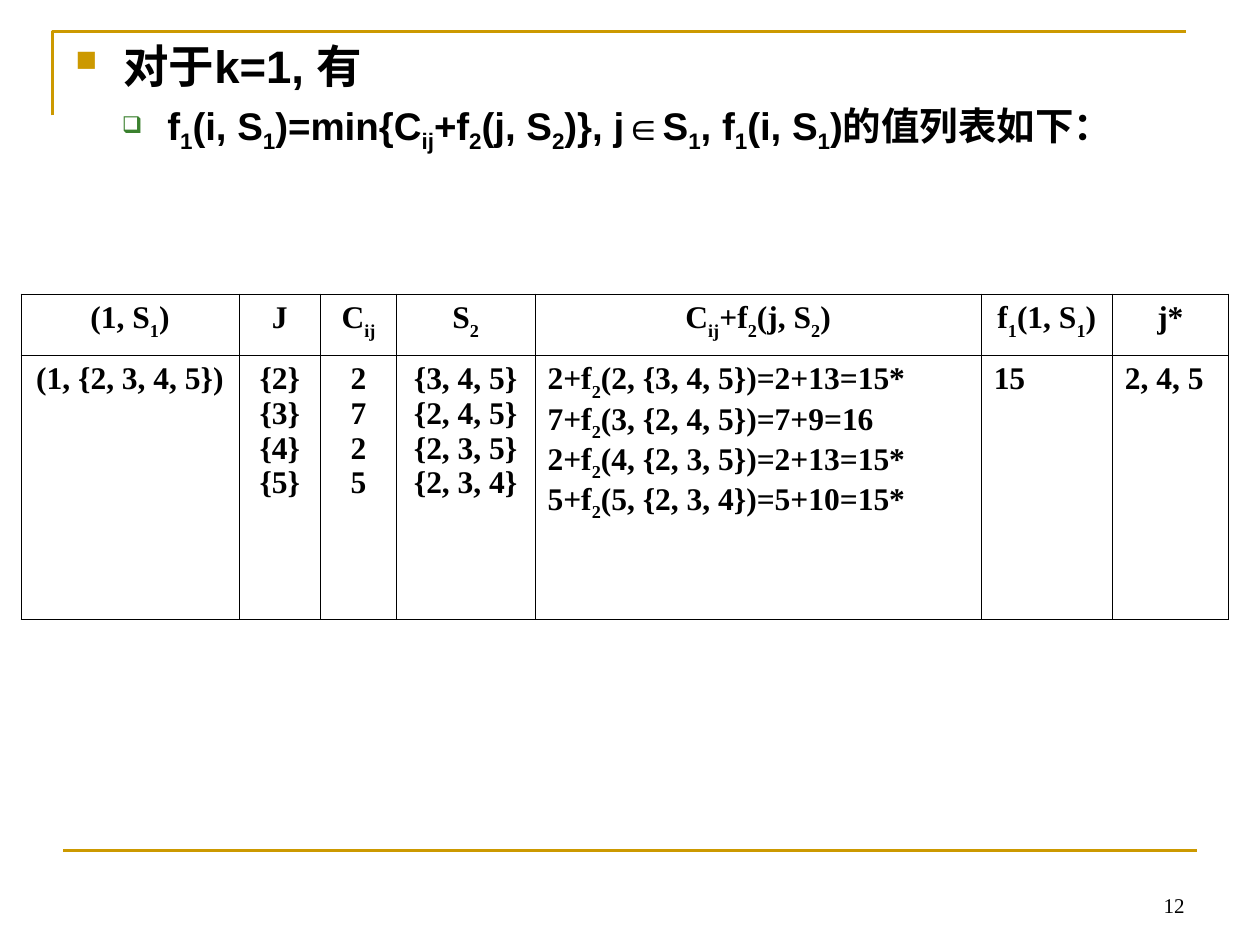
from dataclasses import dataclass

from lxml import etree
from pptx import Presentation
from pptx.dml.color import RGBColor
from pptx.enum.shapes import MSO_CONNECTOR
from pptx.enum.text import MSO_ANCHOR, PP_ALIGN
from pptx.oxml.ns import qn
from pptx.util import Inches, Pt

LEFT, CENTER, RIGHT = PP_ALIGN.LEFT, PP_ALIGN.CENTER, PP_ALIGN.RIGHT
TOP, BOTTOM = MSO_ANCHOR.TOP, MSO_ANCHOR.BOTTOM
STRAIGHT = MSO_CONNECTOR.STRAIGHT


@dataclass(frozen=True)
class Theme:
    ink: str = "000000"
    gold: str = "CC9900"
    green: str = "3B812F"
    sans: str = "Arial"
    serif: str = "Times New Roman"
    heading: int = 26
    formula: int = 22
    table: int = 18
    number: int = 12
    rule: float = 1.5
    border: float = 0.45
    subscript: int = -25
    low_subscript: int = -30


theme = Theme()


def write_text(para, text, *, size, font=theme.serif, bold=True, align=LEFT,
               subscript=theme.subscript):
    para.alignment = align
    for index, part in enumerate(text.split("|")):
        if not part:
            continue
        span = para.add_run()
        span.text = part
        span.font.size = Pt(size)
        span.font.name = font
        span.font.bold = bold
        span.font.color.rgb = RGBColor.from_string(theme.ink)
        if index % 2:
            span.font._element.set("baseline", str(subscript * 1000))


def add_bullet(para, mark, *, color, percent, margin, hang):
    properties = para._p.get_or_add_pPr()
    properties.set("marL", str(Inches(margin)))
    properties.set("indent", str(-Inches(hang)))
    bullet_color = etree.SubElement(properties, qn("a:buClr"))
    etree.SubElement(bullet_color, qn("a:srgbClr"), val=color)
    etree.SubElement(properties, qn("a:buSzPct"), val=str(percent * 1000))
    etree.SubElement(properties, qn("a:buChar"), char=mark)


deck = Presentation()
deck.slide_width, deck.slide_height = Inches(10), Inches(7.5)
unit = deck.slide_width // 120
page = deck.slides.add_slide(deck.slide_layouts[6])

builder = page.shapes.build_freeform(5, 11, scale=unit)
builder.add_line_segments([(5, 3), (113, 3)], close=False)
corner = builder.convert_to_shape()
corner.shadow.inherit = False
corner.fill.background()

footer = page.shapes.add_connector(STRAIGHT, 6 * unit, 81 * unit, 114 * unit, 81 * unit)
etree.SubElement(footer._element.spPr, qn("a:effectLst"))
for rule in (corner, footer):
    rule.line.color.rgb = RGBColor.from_string(theme.gold)
    rule.line.width = Pt(theme.rule)

body = page.shapes.add_textbox(6 * unit, 3 * unit, 108 * unit, 59 * unit).text_frame
body.word_wrap = True
heading = body.paragraphs[0]
add_bullet(heading, "■", color=theme.gold, percent=65, margin=0.38, hang=0.38)
write_text(heading, "对于k=1, 有", size=theme.heading, font=theme.sans)
formula = body.add_paragraph()
formula.level = 1
add_bullet(formula, "❑", color=theme.green, percent=60, margin=0.73, hang=0.36)
formula.space_before = Pt(5.5)
write_text(formula, "f|1|(i, S|1|)=min{C|ij|+f|2|(j, S|2|)}, j∈S|1|, f|1|(i, S|1|)的值列表如下：",
           size=theme.formula, font=theme.sans)

columns = [
    (20.75, CENTER, "(1, S|1|)", ["(1, {2, 3, 4, 5})"]),
    (7.8, CENTER, "J", ["{2}", "{3}", "{4}", "{5}"]),
    (7.2, CENTER, "C|ij|", ["2", "7", "2", "5"]),
    (13.2, CENTER, "S|2|", ["{3, 4, 5}", "{2, 4, 5}", "{2, 3, 5}", "{2, 3, 4}"]),
    (42.5, LEFT, "C|ij|+f|2|(j, S|2|)", [
        "2+f|2|(2, {3, 4, 5})=2+13=15*",
        "7+f|2|(3, {2, 4, 5})=7+9=16",
        "2+f|2|(4, {2, 3, 5})=2+13=15*",
        "5+f|2|(5, {2, 3, 4})=5+10=15*",
    ]),
    (12.5, LEFT, "f|1|(1, S|1|)", ["15"]),
    (11.05, LEFT, "j*", ["2, 4, 5"]),
]
row_heights = [5.8, 25.2]
table = page.shapes.add_table(len(row_heights), len(columns), 2 * unit, 28 * unit,
                              115 * unit, 31 * unit).table
table.first_row = table.horz_banding = False
for row, height in zip(table.rows, row_heights):
    row.height = int(height * unit)

for column_index, (width, align, title, values) in enumerate(columns):
    table.columns[column_index].width = int(width * unit)
    for row_index, (lines, side) in enumerate([([title], CENTER), (values, align)]):
        cell = table.cell(row_index, column_index)
        cell.fill.background()
        cell.vertical_anchor = TOP
        for edge_index, edge in enumerate(("a:lnL", "a:lnR", "a:lnT", "a:lnB")):
            border = etree.Element(qn(edge), w=str(Pt(theme.border)))
            paint = etree.SubElement(border, qn("a:solidFill"))
            etree.SubElement(paint, qn("a:srgbClr"), val=theme.ink)
            cell._tc.tcPr.insert(edge_index, border)
        for line_index, line in enumerate(lines):
            frame = cell.text_frame
            para = frame.add_paragraph() if line_index else frame.paragraphs[0]
            write_text(para, line, size=theme.table, align=side,
                       subscript=theme.subscript if line_index else theme.low_subscript)

number = page.shapes.add_textbox(86 * unit, 82 * unit, 28 * unit, 6 * unit).text_frame
number.word_wrap = True
number.vertical_anchor = BOTTOM
write_text(number.paragraphs[0], "12", size=theme.number, bold=False, align=RIGHT)

deck.save("out.pptx")
